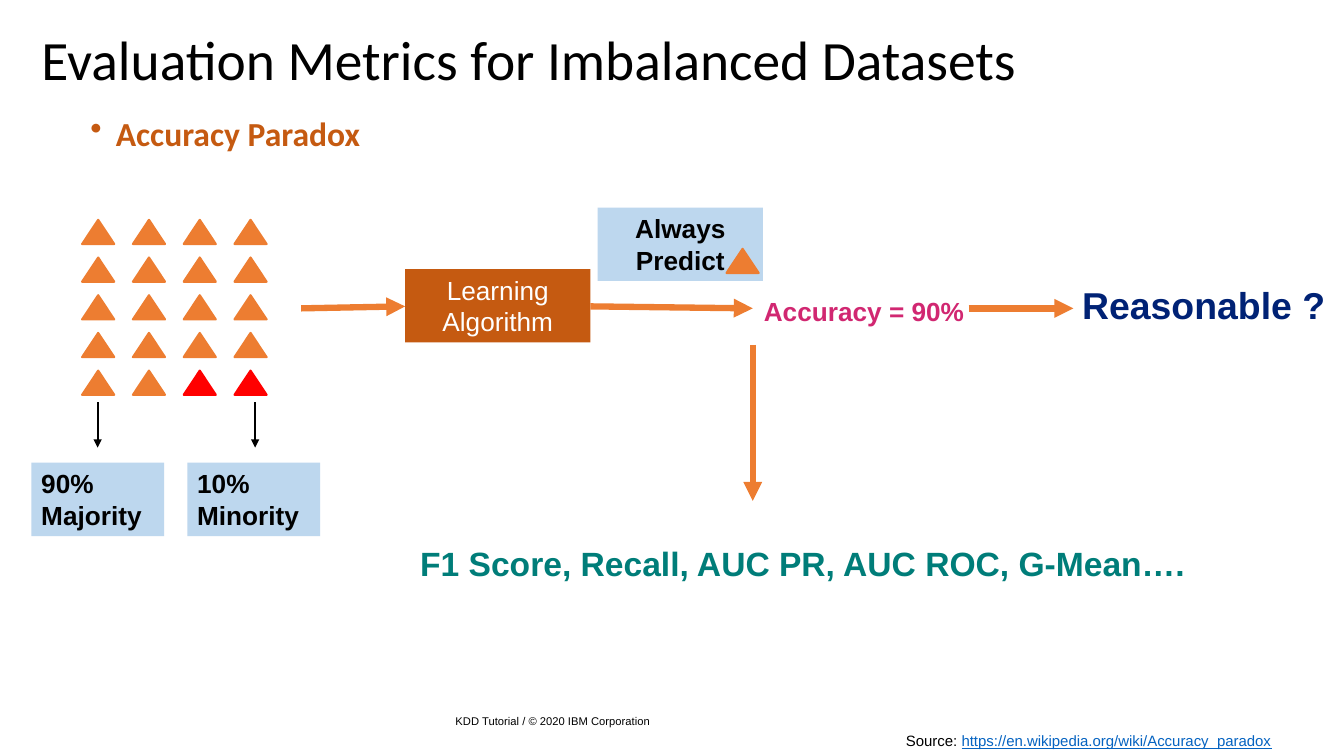
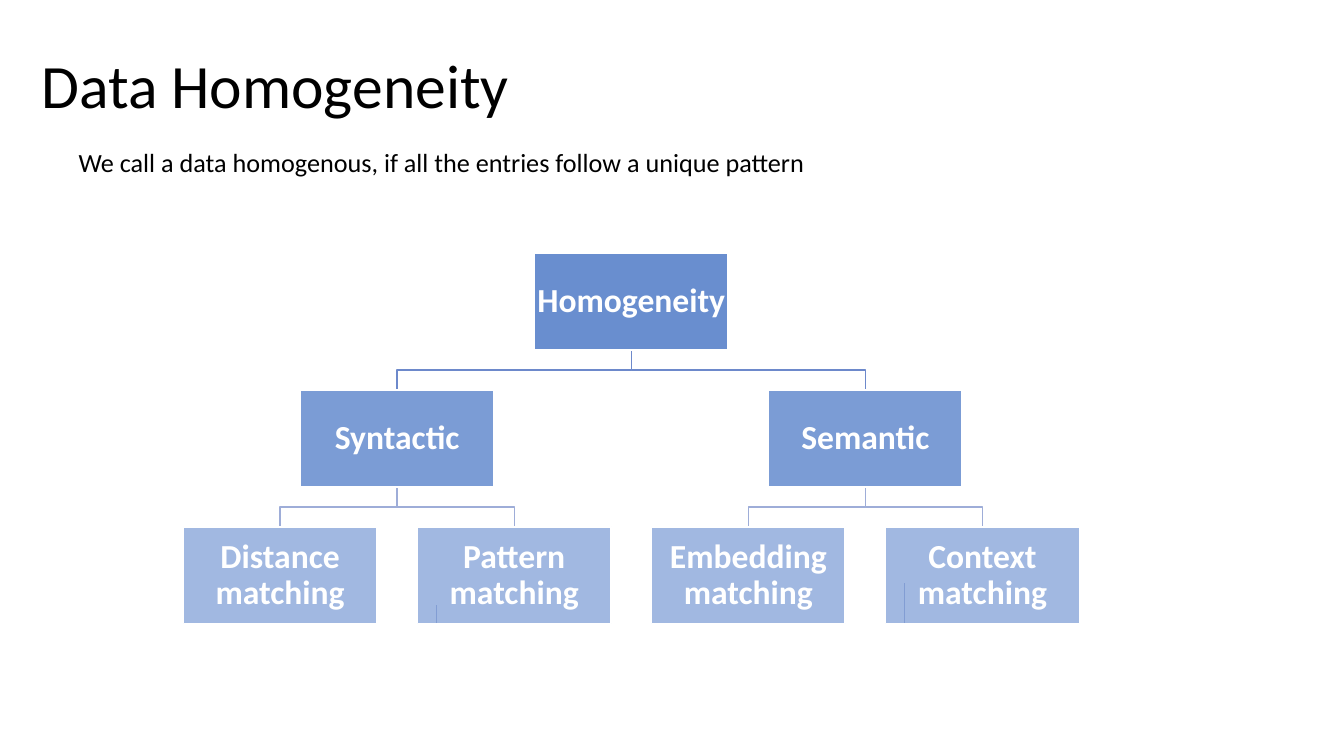
"""Build two slides on imbalanced-data metrics and data homogeneity."""
from dataclasses import dataclass

from lxml.etree import SubElement
from pptx import Presentation
from pptx.dml.color import RGBColor
from pptx.enum.shapes import MSO_CONNECTOR, MSO_SHAPE
from pptx.enum.text import MSO_ANCHOR, MSO_AUTO_SIZE, PP_ALIGN
from pptx.oxml.ns import qn
from pptx.util import Cm, Pt


@dataclass(frozen=True)
class Theme:
    """Colours, fonts and type sizes of the deck."""
    black: str = "000000"
    white: str = "FFFFFF"
    orange: str = "ED7D31"
    rust: str = "C55A11"
    red: str = "FF0000"
    sky: str = "BDD7EE"
    pink: str = "D12771"
    navy: str = "002275"
    teal: str = "007D79"
    link: str = "0563C1"
    node: str = "4472C4"
    upper_branch: str = "6D89CB"
    lower_branch: str = "9EADD8"
    stub: str = "C1C9E4"
    heading_font: str = "Calibri"
    label_font: str = "Arial"
    long_title: float = 39.6
    title: float = 44
    large: float = 26.7
    medium: float = 24
    body: float = 18.7
    source: float = 10.7
    footer: float = 8


THEME = Theme()

METRICS_TITLE = "Evaluation Metrics for Imbalanced Datasets"
METRICS_TITLE_PLACE = (0.79, 0.74, 32.61, 1.65)
SAMPLE_ROWS, SAMPLE_COLUMNS, MINORITY_COUNT = 5, 4, 2
SAMPLE_LEFT, SAMPLE_TOP = 2.07, 5.54
SAMPLE_STEP_X, SAMPLE_STEP_Y = 1.28, 0.95
SAMPLE_SIZE = (0.81, 0.61)
PREDICTED_SAMPLE = (18.31, 6.27)

METRICS_BOXES = [
    ("90% Majority", (0.79, 11.66, 3.35, 1.85), THEME.sky, dict(bold=True)),
    ("10% Minority", (4.72, 11.66, 3.35, 1.85), THEME.sky, dict(bold=True)),
    ("Learning Algorithm", (10.21, 6.78, 4.67, 1.85), THEME.rust,
     dict(color=THEME.white, align=PP_ALIGN.CENTER)),
    ("Always Predict", (15.06, 5.23, 4.17, 1.85), THEME.sky,
     dict(bold=True, align=PP_ALIGN.CENTER)),
]
METRICS_TEXTS = [
    ("Accuracy Paradox", (2.03, 2.92, 8.18, 1.17),
     dict(size=THEME.medium, font=THEME.heading_font, color=THEME.rust,
          bold=True, bullet="•", spacing=0.8)),
    ("Accuracy = 90%", (19.25, 7.44, 5.44, 1.19),
     dict(color=THEME.pink, bold=True, inset=0)),
    ("Reasonable ?", (26.9, 6.98, 6.88, 1.4),
     dict(size=THEME.large, color=THEME.navy, bold=True,
          align=PP_ALIGN.CENTER)),
    ("F1 Score, Recall, AUC PR, AUC ROC, G-Mean….", (10.59, 13.69, 20.17, 1.17),
     dict(size=THEME.medium, color=THEME.teal, bold=True, inset=0)),
    ("KDD Tutorial / © 2020 IBM Corporation", (11.23, 17.65, 11.43, 1.02),
     dict(size=THEME.footer, anchor=MSO_ANCHOR.MIDDLE)),
    ("Source: ", (22.58, 18.31, 10.2, 0.7),
     dict(size=THEME.source,
          link="https://en.wikipedia.org/wiki/Accuracy_paradox")),
]
FLOW_ARROWS = [
    ((7.59, 7.77), (10.21, 7.72)),
    ((14.88, 7.72), (18.97, 7.77)),
    ((24.41, 7.77), (27.05, 7.77)),
    ((18.97, 8.69), (18.97, 12.62)),
]
CLASS_ARROWS = [((x, 10.13), (x, 11.28)) for x in (2.46, 6.43)]

HOMOGENEITY_TITLE = "Data Homogeneity"
HOMOGENEITY_TITLE_PLACE = (0.79, 0.74, 15.34, 2.97)
DEFINITION = "We call a data homogenous, if all the entries follow a unique pattern"
DEFINITION_PLACE = (1.73, 3.56, 19.4, 1.07)
TREE = ("Homogeneity", [
    ("Syntactic", ["Distance matching", "Pattern matching"]),
    ("Semantic", ["Embedding matching", "Context matching"]),
])
NODE_WIDTH, NODE_HEIGHT = 4.88, 2.44
FIRST_LEAF_CENTER, LEAF_STEP = 7.06, 5.9
TREE_TOP, LEVEL_STEP = 6.38, 3.45
LEVEL_OPACITY = (80, 70, 50)
BRANCH_COLORS = (THEME.upper_branch, THEME.lower_branch)
STUB_INDENT = 0.48
STUB_HEIGHTS = {1: 0.48, 3: 1.02}


def rgb(value):
    """Turn a hex string into a colour."""
    return RGBColor.from_string(value)


def write(shape, text, *, size=THEME.body, font=THEME.label_font,
          color=THEME.black, bold=False, align=PP_ALIGN.LEFT,
          anchor=MSO_ANCHOR.TOP, inset=None, spacing=None, bullet=None,
          link=None):
    """Put one formatted paragraph into a shape."""
    frame = shape.text_frame
    frame.word_wrap = True
    frame.auto_size = MSO_AUTO_SIZE.NONE
    frame.vertical_anchor = anchor
    if inset is not None:
        frame.margin_left = frame.margin_right = Cm(inset)
        frame.margin_top = frame.margin_bottom = Cm(inset)
    paragraph = frame.paragraphs[0]
    paragraph.alignment = align
    if spacing:
        paragraph.line_spacing = spacing
    if bullet:
        properties = paragraph._p.get_or_add_pPr()
        properties.set("marL", str(Cm(0.64)))
        properties.set("indent", str(-Cm(0.64)))
        SubElement(properties, qn("a:buChar"), char=bullet)
    pieces = [(text, color, None)]
    if link:
        pieces.append((link, THEME.link, True))
    for words, ink, underline in pieces:
        run = paragraph.add_run()
        run.text = words
        run.font.name = font
        run.font.size = Pt(size)
        run.font.bold = bold
        run.font.underline = underline
        run.font.color.rgb = rgb(ink)


def add_text(slide, text, place, **style):
    """Add a text box."""
    write(slide.shapes.add_textbox(*map(Cm, place)), text, **style)


def add_block(slide, preset, place, fill, outline=None, width=1, opacity=100):
    """Add a flat preset shape."""
    block = slide.shapes.add_shape(preset, *map(Cm, place))
    block.shadow.inherit = False
    block.fill.solid()
    block.fill.fore_color.rgb = rgb(fill)
    if opacity < 100:
        tint = block.element.spPr.find(qn("a:solidFill")).find(qn("a:srgbClr"))
        SubElement(tint, qn("a:alpha"), val=str(opacity * 1000))
    if outline:
        block.line.color.rgb = rgb(outline)
        block.line.width = Pt(width)
    else:
        block.line.fill.background()
    return block


def add_line(slide, start, end, color, width, arrow=False):
    """Add a straight line, with an arrowhead at its end if asked."""
    line = slide.shapes.add_connector(
        MSO_CONNECTOR.STRAIGHT, *map(Cm, start + end))
    line.line.color.rgb = rgb(color)
    line.line.width = Pt(width)
    properties = line.element.spPr
    if arrow:
        SubElement(properties.find(qn("a:ln")), qn("a:tailEnd"), type="triangle")
    SubElement(properties, qn("a:effectLst"))


def add_sample(slide, corner, color):
    """Add one triangle that stands for a data sample."""
    add_block(slide, MSO_SHAPE.ISOSCELES_TRIANGLE, corner + SAMPLE_SIZE,
              color, outline=color, width=1.5)


def add_titled_slide(deck, title, place, size):
    """Add a title-only slide and format its title."""
    slide = deck.slides.add_slide(deck.slide_layouts[5])
    heading = slide.shapes.title
    heading.left, heading.top, heading.width, heading.height = map(Cm, place)
    write(heading, title, size=size, font=THEME.heading_font,
          anchor=MSO_ANCHOR.MIDDLE, spacing=0.9)
    return slide


def build_metrics(deck):
    """Build the accuracy paradox slide."""
    slide = add_titled_slide(deck, METRICS_TITLE, METRICS_TITLE_PLACE,
                             THEME.long_title)
    sample_count = SAMPLE_ROWS * SAMPLE_COLUMNS
    for index in range(sample_count):
        row, column = divmod(index, SAMPLE_COLUMNS)
        corner = (SAMPLE_LEFT + column * SAMPLE_STEP_X,
                  SAMPLE_TOP + row * SAMPLE_STEP_Y)
        minority = index >= sample_count - MINORITY_COUNT
        add_sample(slide, corner, THEME.red if minority else THEME.orange)
    for text, place, fill, style in METRICS_BOXES:
        write(add_block(slide, MSO_SHAPE.RECTANGLE, place, fill), text, **style)
    add_sample(slide, PREDICTED_SAMPLE, THEME.orange)
    for start, end in FLOW_ARROWS:
        add_line(slide, start, end, THEME.orange, 4.5, arrow=True)
    for start, end in CLASS_ARROWS:
        add_line(slide, start, end, THEME.black, 1.5, arrow=True)
    for text, place, style in METRICS_TEXTS:
        add_text(slide, text, place, **style)


def level_top(level):
    """Return the top of a tree level."""
    return TREE_TOP + level * LEVEL_STEP


def add_branch(slide, parent_center, child_center, level):
    """Join a node on a level to a child on the next one."""
    top, bottom = level_top(level) + NODE_HEIGHT, level_top(level + 1)
    middle = (top + bottom) / 2
    points = [(Cm(x), Cm(y)) for x, y in (
        (parent_center, top), (parent_center, middle),
        (child_center, middle), (child_center, bottom))]
    outline = slide.shapes.build_freeform(*points[0], scale=1.0)
    outline.add_line_segments(points[1:], close=False)
    branch = outline.convert_to_shape()
    branch.shadow.inherit = False
    branch.fill.background()
    branch.line.color.rgb = rgb(BRANCH_COLORS[level])
    branch.line.width = Pt(1)


def add_node(slide, text, center, level):
    """Add a labelled tree node."""
    place = (center - NODE_WIDTH / 2, level_top(level), NODE_WIDTH, NODE_HEIGHT)
    node = add_block(slide, MSO_SHAPE.RECTANGLE, place, THEME.node,
                     outline=THEME.white, opacity=LEVEL_OPACITY[level])
    write(node, text, size=THEME.medium, font=THEME.heading_font,
          color=THEME.white, bold=True, align=PP_ALIGN.CENTER,
          anchor=MSO_ANCHOR.MIDDLE, inset=0.03, spacing=0.9)


def lay_out_tree():
    """Return the nodes and branches with their centres and levels."""
    root, groups = TREE
    nodes, branches, group_centers, leaf_count = [], [], [], 0
    for group, leaves in groups:
        centers = [FIRST_LEAF_CENTER + (leaf_count + i) * LEAF_STEP
                   for i in range(len(leaves))]
        leaf_count += len(leaves)
        group_center = sum(centers) / len(centers)
        group_centers.append(group_center)
        nodes.append((group, group_center, 1))
        nodes += [(leaf, center, 2) for leaf, center in zip(leaves, centers)]
        branches += [(group_center, center, 1) for center in centers]
    root_center = sum(group_centers) / len(group_centers)
    branches += [(root_center, center, 0) for center in group_centers]
    return [(root, root_center, 0)] + nodes, branches


def build_homogeneity(deck):
    """Build the data homogeneity slide."""
    slide = add_titled_slide(deck, HOMOGENEITY_TITLE, HOMOGENEITY_TITLE_PLACE,
                             THEME.title)
    add_text(slide, DEFINITION, DEFINITION_PLACE, font=THEME.heading_font)
    bottom = level_top(2) + NODE_HEIGHT
    for leaf, height in STUB_HEIGHTS.items():
        x = FIRST_LEAF_CENTER + leaf * LEAF_STEP - NODE_WIDTH / 2 + STUB_INDENT
        add_line(slide, (x, bottom), (x, bottom - height), THEME.stub, 1)
    nodes, branches = lay_out_tree()
    for branch in branches:
        add_branch(slide, *branch)
    for node in nodes:
        add_node(slide, *node)


def main():
    """Create and save the deck."""
    deck = Presentation()
    deck.slide_width, deck.slide_height = Cm(33.87), Cm(19.05)
    build_metrics(deck)
    build_homogeneity(deck)
    deck.save("out.pptx")


if __name__ == "__main__":
    main()
